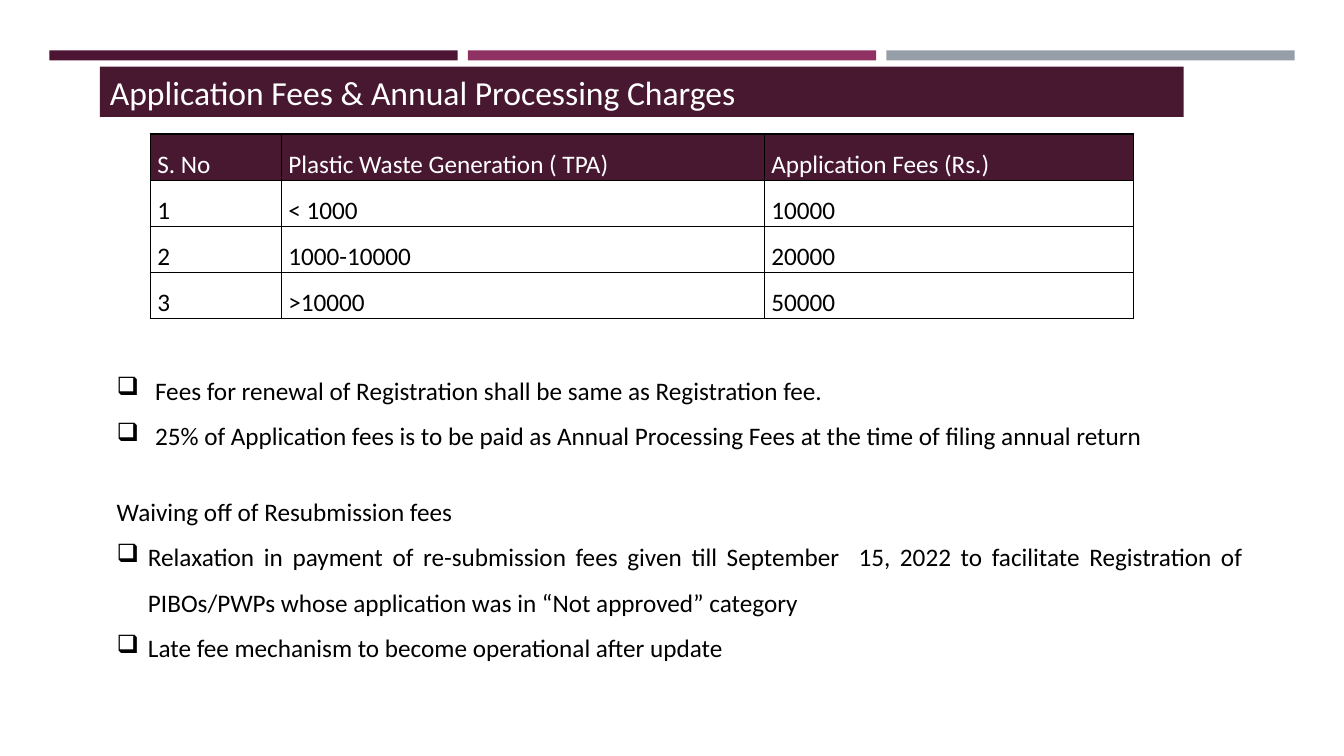
"""Build the slide on application fees and annual processing charges."""
from lxml.etree import SubElement
from pptx import Presentation
from pptx.dml.color import RGBColor
from pptx.enum.shapes import MSO_SHAPE as Shape
from pptx.enum.text import MSO_ANCHOR as Anchor, MSO_AUTO_SIZE as AutoSize, PP_ALIGN as Align
from pptx.oxml.ns import qn
from pptx.util import Inches, Pt

PLUM = RGBColor(0x48, 0x18, 0x31)
DARK_PLUM = RGBColor(0x4D, 0x14, 0x34)
MAGENTA = RGBColor(0x90, 0x31, 0x63)
GREY = RGBColor(0x96, 0x9F, 0xA7)
WHITE = RGBColor(0xFF, 0xFF, 0xFF)
BLACK = RGBColor(0x00, 0x00, 0x00)
FONT = "Calibri"

FEES = [
    ("S. No", "Plastic Waste Generation ( TPA)", "Application Fees (Rs.)"),
    ("1", "< 1000", "10000"),
    ("2", "1000-10000", "20000"),
    ("3", ">10000", "50000"),
]
COLUMN_WIDTHS = (1.3, 4.79, 3.66)
ROW_HEIGHT = 0.41

# Each note holds its text, its bullet indent in inches and its space before in points.
NOTES = [
    ("Fees for renewal of Registration shall be same as Registration fee.", 0.38, 0),
    ("25% of Application fees is to be paid as Annual Processing Fees at the time of "
     "filing annual return", 0.38, 0),
    ("Waiving off of Resubmission fees", 0, 22),
    ("Relaxation in payment of re-submission fees given till September  15, 2022 to "
     "facilitate Registration of PIBOs/PWPs whose application was in “Not approved” "
     "category", 0.31, 0),
    ("Late fee mechanism to become operational after update", 0.31, 0),
]


def add_span(para, text, size, color):
    """Add one formatted run to a paragraph."""
    span = para.add_run()
    span.text = text
    span.font.name = FONT
    span.font.size = Pt(size)
    span.font.color.rgb = color


def add_bar(page, left, color):
    """Add one of the coloured bars along the top."""
    bar = page.shapes.add_shape(
        Shape.RECTANGLE, Inches(left), Inches(0.5), Inches(4.05), Inches(0.1))
    bar.shadow.inherit = False
    bar.fill.solid()
    bar.fill.fore_color.rgb = color
    bar.line.fill.background()


def set_title(page, text):
    """Place the title on its plum band."""
    title = page.shapes.title
    title.left, title.top = Inches(0.99), Inches(0.66)
    title.width, title.height = Inches(10.75), Inches(0.5)
    title.fill.solid()
    title.fill.fore_color.rgb = PLUM
    frame = title.text_frame
    frame.auto_size = AutoSize.NONE
    frame.vertical_anchor = Anchor.MIDDLE
    para = frame.paragraphs[0]
    para.alignment = Align.JUSTIFY
    add_span(para, text, 24, WHITE)


def add_borders(cell):
    """Draw a thin black line on every side of a cell."""
    properties = cell._tc.get_or_add_tcPr()
    for side in ("a:lnL", "a:lnR", "a:lnT", "a:lnB"):
        line = SubElement(properties, qn(side), w=str(Pt(1)))
        fill = SubElement(line, qn("a:solidFill"))
        SubElement(fill, qn("a:srgbClr"), val=str(BLACK))


def fill_cell(cell, text, is_header):
    """Write and format one table cell."""
    cell.margin_left = cell.margin_right = Inches(0.07)
    cell.margin_top = cell.margin_bottom = 0
    add_borders(cell)
    if is_header:
        cell.fill.solid()
        cell.fill.fore_color.rgb = PLUM
    else:
        cell.fill.background()
    para = cell.text_frame.paragraphs[0]
    para.line_spacing = 1.5
    add_span(para, text, 18, WHITE if is_header else BLACK)


def add_fee_table(page):
    """Add the table of application fees."""
    table = page.shapes.add_table(
        len(FEES), len(COLUMN_WIDTHS), Inches(1.49), Inches(1.33),
        Inches(sum(COLUMN_WIDTHS)), Inches(ROW_HEIGHT * len(FEES))).table
    table.first_row = table.horz_banding = False
    for column, width in zip(table.columns, COLUMN_WIDTHS):
        column.width = Inches(width)
    for row_index, values in enumerate(FEES):
        for column_index, text in enumerate(values):
            fill_cell(table.cell(row_index, column_index), text, row_index == 0)


def add_bullet(para, indent):
    """Give a paragraph a hanging box bullet."""
    properties = para._p.get_or_add_pPr()
    properties.set("marL", str(Inches(indent)))
    properties.set("indent", str(-Inches(indent)))
    color = SubElement(properties, qn("a:buClr"))
    SubElement(color, qn("a:srgbClr"), val=str(BLACK))
    SubElement(properties, qn("a:buChar"), char="❑")


def add_notes_box(page):
    """Add the justified notes below the table."""
    box = page.shapes.add_textbox(Inches(1.06), Inches(3.52), Inches(11.37), Inches(3.75))
    frame = box.text_frame
    frame.word_wrap = True
    for index, (text, indent, space_before) in enumerate(NOTES):
        para = frame.add_paragraph() if index else frame.paragraphs[0]
        if indent:
            add_bullet(para, indent)
        para.alignment = Align.JUSTIFY
        para.line_spacing = 1.5
        if space_before:
            para.space_before = Pt(space_before)
        add_span(para, text, 18, BLACK)


def main():
    """Build the deck and save it."""
    deck = Presentation()
    deck.slide_width, deck.slide_height = Inches(13.33), Inches(7.5)
    page = deck.slides.add_slide(deck.slide_layouts[5])
    for index, color in enumerate((DARK_PLUM, MAGENTA, GREY)):
        add_bar(page, 0.49 + 4.15 * index, color)
    set_title(page, "Application Fees & Annual Processing Charges")
    add_fee_table(page)
    add_notes_box(page)
    deck.save("out.pptx")


if __name__ == "__main__":
    main()
